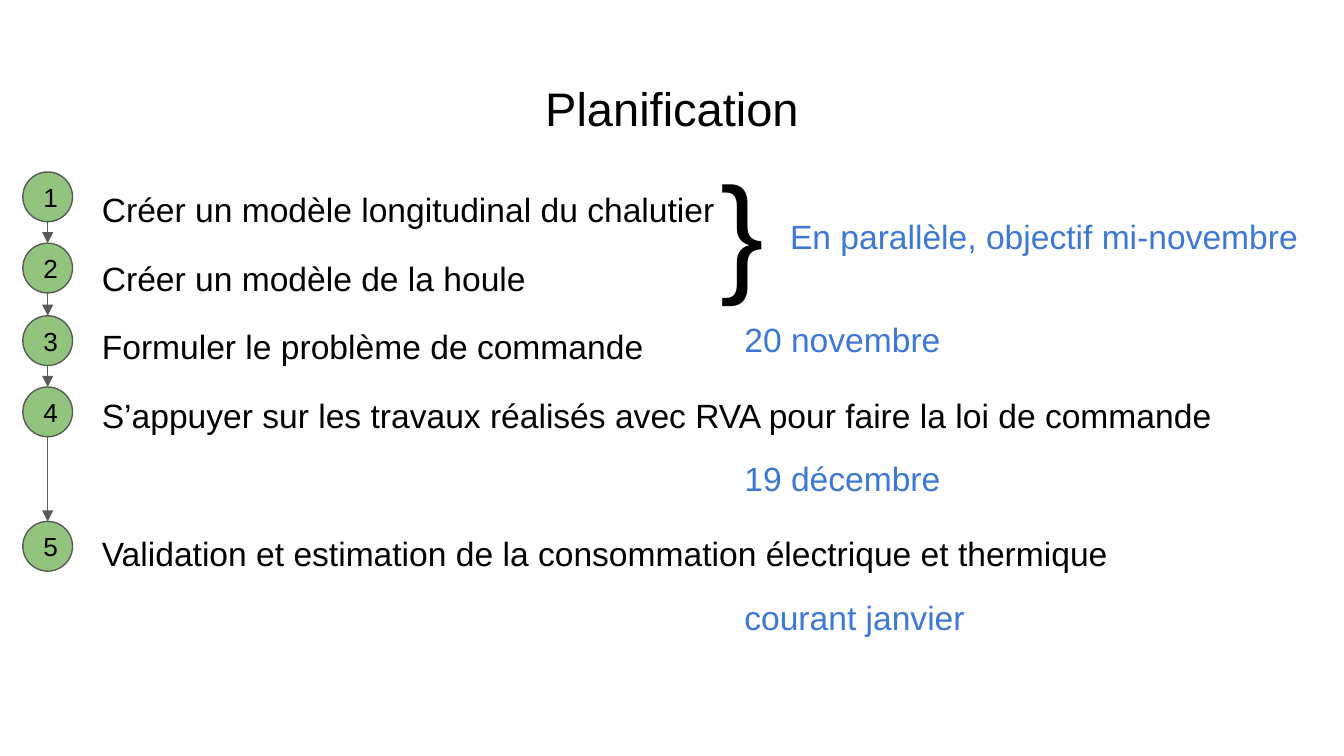
from itertools import pairwise
from lxml import etree
from pptx import Presentation
from pptx.dml.color import RGBColor
from pptx.enum.shapes import MSO_CONNECTOR as Connector, MSO_SHAPE as Shape
from pptx.enum.text import MSO_ANCHOR as Anchor, PP_ALIGN as Align
from pptx.oxml.ns import qn
from pptx.util import Inches, Pt

BLACK, BLUE, GREEN, GREY = "000000", "3C78D8", "93C47D", "595959"
TITLE = "Planification"
STEPS = [
    ("Créer un modèle longitudinal du chalutier", 0),
    ("Créer un modèle de la houle", 12),
    ("Formuler le problème de commande", 12),
    ("S’appuyer sur les travaux réalisés avec RVA pour faire la loi de commande", 12),
    ("Validation et estimation de la consommation électrique et thermique", 49),
]
STEP_TOPS = [1.28, 1.81, 2.35, 2.88, 3.88]
DEADLINES = [
    ("En parallèle, objectif mi-novembre", 5.78, 1.51, 4.22),
    ("20 novembre", 5.44, 2.27, 4.22),
    ("19 décembre", 5.44, 3.31, 2.96),
    ("courant janvier", 5.44, 4.34, 2.96),
]
BADGE_LEFT, BADGE_SIZE = 0.17, 0.37


def rgb(value):
    """Turn a hex string into a colour."""
    return RGBColor.from_string(value)


def prepare(frame):
    """Set the common wrapping and margins of a text frame."""
    frame.word_wrap = True
    frame.margin_left = frame.margin_right = Inches(0.1)
    frame.margin_top = frame.margin_bottom = Inches(0.1)
    return frame


def write(paragraph, text, size, color=BLACK, align=Align.LEFT):
    """Add one formatted run to a paragraph."""
    paragraph.alignment = align
    run = paragraph.add_run()
    run.text = text
    run.font.name, run.font.size = "Arial", Pt(size)
    run.font.color.rgb = rgb(color)


def add_box(slide, left, top, width, height):
    """Add an empty text box and return its frame."""
    box = slide.shapes.add_textbox(*map(Inches, (left, top, width, height)))
    return prepare(box.text_frame)


def add_badge(slide, number, top):
    """Add a numbered circle."""
    badge = slide.shapes.add_shape(
        Shape.OVAL, *map(Inches, (BADGE_LEFT, top, BADGE_SIZE, BADGE_SIZE)))
    badge.shadow.inherit = False
    badge.fill.solid()
    badge.fill.fore_color.rgb = rgb(GREEN)
    badge.line.color.rgb = rgb(GREY)
    badge.line.width = Pt(0.75)
    frame = prepare(badge.text_frame)
    frame.vertical_anchor = Anchor.MIDDLE
    write(frame.paragraphs[0], str(number), 14)


def add_arrow(slide, start, end):
    """Add a downward arrow between two circles."""
    center = BADGE_LEFT + BADGE_SIZE / 2
    arrow = slide.shapes.add_connector(
        Connector.STRAIGHT, *map(Inches, (center, start, center, end)))
    arrow.line.color.rgb = rgb(GREY)
    arrow.line.width = Pt(0.75)
    properties = arrow.element.spPr
    etree.SubElement(properties.find(qn("a:ln")), qn("a:tailEnd"), type="triangle")
    etree.SubElement(properties, qn("a:effectLst"))


def main():
    """Build the planning slide."""
    deck = Presentation()
    deck.slide_width = Inches(10)
    deck.slide_height = deck.slide_width * 9 // 16
    slide = deck.slides.add_slide(deck.slide_layouts[6])

    title = add_box(slide, 0.34, 0.49, 9.32, 0.63)
    write(title.paragraphs[0], TITLE, 25.2, align=Align.CENTER)

    plan = add_box(slide, 0.66, 1.26, 9, 3.74)
    for index, (step, gap) in enumerate(STEPS):
        paragraph = plan.add_paragraph() if index else plan.paragraphs[0]
        paragraph.line_spacing = 1.15
        paragraph.space_before = Pt(gap)
        write(paragraph, step, 18)

    for number, top in enumerate(STEP_TOPS, 1):
        add_badge(slide, number, top)
    for top, next_top in pairwise(STEP_TOPS):
        add_arrow(slide, top + BADGE_SIZE, next_top)

    brace = add_box(slide, 5.26, 1.01, 0.68, 1.38)
    write(brace.paragraphs[0], "}", 70)
    for deadline, left, top, width in DEADLINES:
        frame = add_box(slide, left, top, width, 0.51)
        write(frame.paragraphs[0], deadline, 18, BLUE)

    deck.save("out.pptx")


if __name__ == "__main__":
    main()
